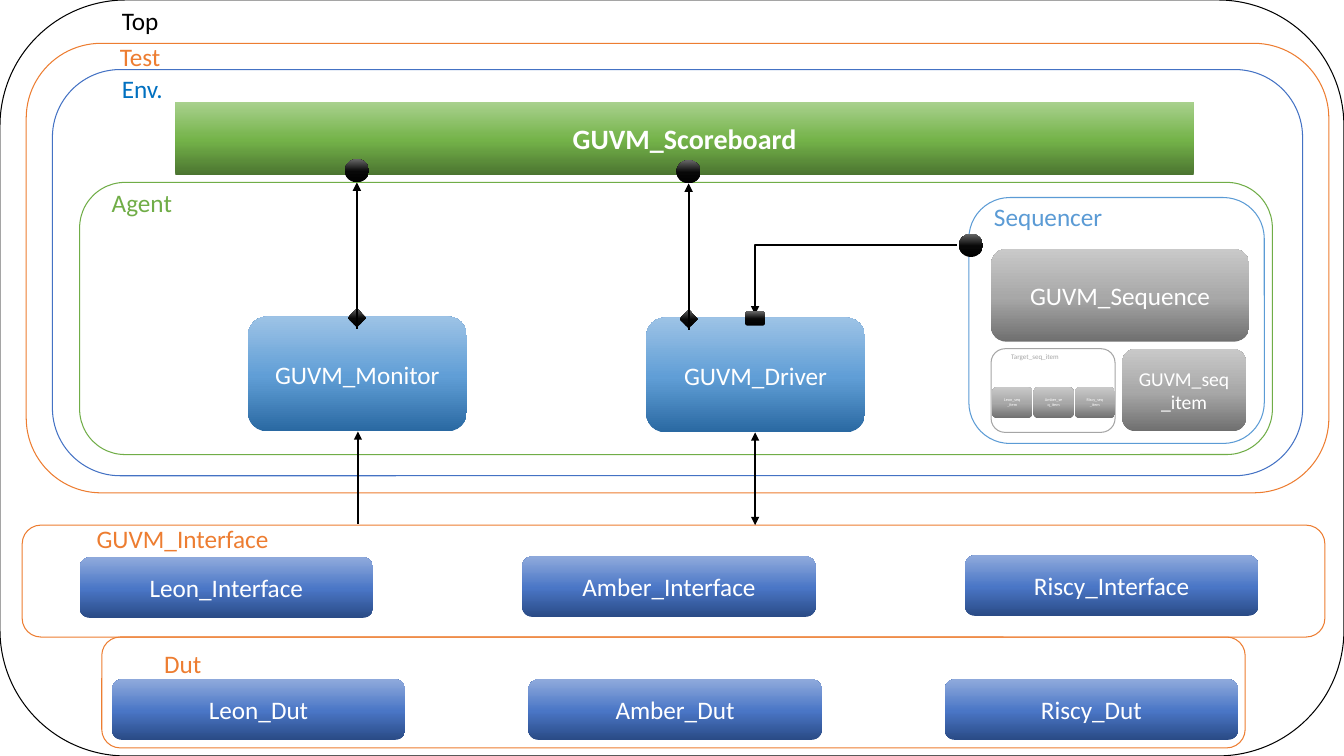
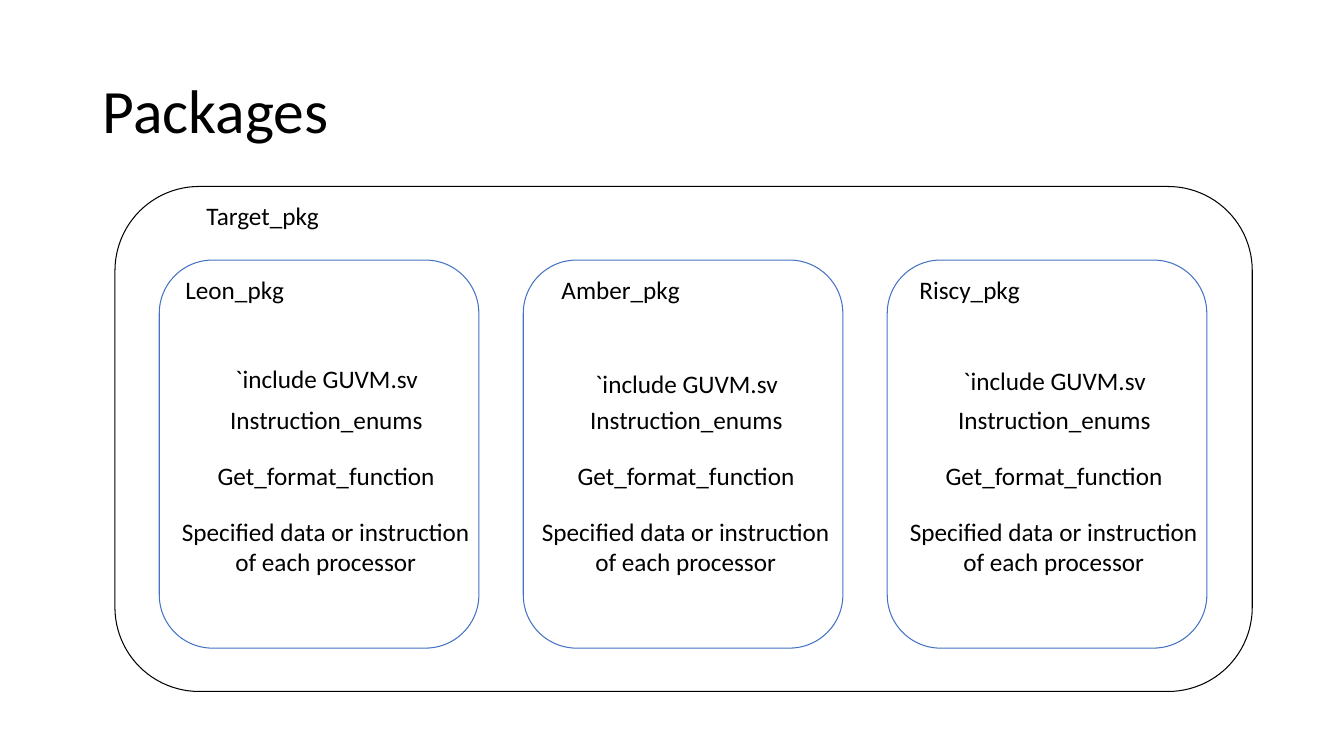
from copy import deepcopy
from dataclasses import dataclass

from lxml import etree
from pptx import Presentation
from pptx.dml.color import RGBColor
from pptx.enum.shapes import MSO_CONNECTOR, MSO_SHAPE
from pptx.enum.text import MSO_ANCHOR, MSO_AUTO_SIZE, PP_ALIGN
from pptx.oxml.ns import qn
from pptx.util import Inches, Pt

ROUND, RECT = MSO_SHAPE.ROUNDED_RECTANGLE, MSO_SHAPE.RECTANGLE
DOT, DIAMOND = MSO_SHAPE.FLOWCHART_CONNECTOR, MSO_SHAPE.DIAMOND
STRAIGHT, ELBOW = MSO_CONNECTOR.STRAIGHT, MSO_CONNECTOR.ELBOW
LEFT, CENTER, MIDDLE = PP_ALIGN.LEFT, PP_ALIGN.CENTER, MSO_ANCHOR.MIDDLE
FIT, NO_FIT = MSO_AUTO_SIZE.SHAPE_TO_FIT_TEXT, MSO_AUTO_SIZE.NONE

FONT = "Calibri"
COLORS = {
    "black": "000000", "white": "FFFFFF", "orange": "ED7D31", "navy": "4472C4",
    "azure": "0070C0", "green": "70AD47", "sky": "5B9BD5", "gray": "A5A5A5",
}
# Bottom, middle and top colour of each gradient
GRADIENTS = {
    "sky": ("2A69A2", "609ED6", "9DC3E6"),
    "green": ("4B7430", "74B349", "A9D18E"),
    "gray": ("6F6F6F", "A8A8A8", "C9C9C9"),
    "navy": ("2A4B86", "4A76C6", "8FAADC"),
    "black": ("000000", "080808", "666666"),
}
STOPS = (0, 0.48, 1)
CORES = ("Leon", "Amber", "Riscy")


@dataclass(frozen=True)
class Panel:
    """An unfilled rounded frame."""
    x: float
    y: float
    w: float
    h: float
    color: str


@dataclass(frozen=True)
class Label:
    """A one-line or two-line text box."""
    text: str
    x: float
    y: float
    w: float
    color: str = "black"
    h: float = 0.4
    size: float = 18


@dataclass(frozen=True)
class Block:
    """A gradient shape, with or without text."""
    x: float
    y: float
    w: float
    h: float
    gradient: str
    text: str = ""
    size: float = 18
    bold: bool = False
    kind: MSO_SHAPE = ROUND


@dataclass(frozen=True)
class Arrow:
    """A connector that ends in an arrowhead."""
    x1: float
    y1: float
    x2: float
    y2: float
    both: bool = False
    kind: MSO_CONNECTOR = STRAIGHT


def apply(target, formats: dict) -> None:
    """Set each named attribute of the target."""
    for name, value in formats.items():
        setattr(target, name, value)


def rgb(color: str) -> RGBColor:
    """Return a palette colour."""
    return RGBColor.from_string(COLORS[color])


def write(tf, text: str, size: float, color: str, align, bold=False) -> None:
    """Fill a text frame; lines after the first are centred."""
    for i, line in enumerate(text.split("\n")):
        p = tf.add_paragraph() if i else tf.paragraphs[0]
        p.alignment = CENTER if i else align
        r = p.add_run()
        r.text = line
        apply(r.font, {"name": FONT, "size": Pt(size), "bold": bold})
        r.font.color.rgb = rgb(color)


def add_panel(slide, panel: Panel) -> None:
    """Draw a frame."""
    sp = slide.shapes.add_shape(
        ROUND, *map(Inches, (panel.x, panel.y, panel.w, panel.h)))
    sp.shadow.inherit = False
    sp.fill.background()
    sp.line.width = Pt(0.75)
    sp.line.color.rgb = rgb(panel.color)


def add_label(slide, label: Label) -> None:
    """Draw a label."""
    sp = slide.shapes.add_textbox(
        *map(Inches, (label.x, label.y, label.w, label.h)))
    apply(sp.text_frame, {"word_wrap": False, "auto_size": FIT})
    write(sp.text_frame, label.text, label.size, label.color, LEFT)


def fill_gradient(sp, name: str) -> None:
    """Give a shape a three-stop gradient that runs upwards."""
    sp.fill.gradient()
    sp.fill.gradient_angle = 90
    stop_list = sp._element.spPr.find(".//" + qn("a:gsLst"))
    stop_list.append(deepcopy(stop_list[-1]))
    for stop, position, value in zip(sp.fill.gradient_stops, STOPS, GRADIENTS[name]):
        stop.position = position
        stop.color.rgb = RGBColor.from_string(value)


def add_block(slide, block: Block) -> None:
    """Draw a gradient shape."""
    sp = slide.shapes.add_shape(
        block.kind, *map(Inches, (block.x, block.y, block.w, block.h)))
    sp.shadow.inherit = False
    sp.line.fill.background()
    fill_gradient(sp, block.gradient)
    if block.text:
        apply(sp.text_frame, {"word_wrap": True, "vertical_anchor": MIDDLE})
        write(sp.text_frame, block.text, block.size, "white", CENTER, block.bold)


def add_arrow(slide, arrow: Arrow) -> None:
    """Draw a connector with its arrowheads."""
    c = slide.shapes.add_connector(
        arrow.kind, *map(Inches, (arrow.x1, arrow.y1, arrow.x2, arrow.y2)))
    c.line.width = Pt(1.5)
    c.line.color.rgb = rgb("black")
    spPr = c._element.spPr
    if arrow.kind == ELBOW:
        spPr.find(qn("a:prstGeom")).set("prst", "bentConnector2")
    ln = spPr.find(qn("a:ln"))
    for end in ("a:headEnd", "a:tailEnd") if arrow.both else ("a:tailEnd",):
        etree.SubElement(ln, qn(end), type="triangle")
    etree.SubElement(spPr, qn("a:effectLst"))


DRAWERS = {Panel: add_panel, Label: add_label, Block: add_block, Arrow: add_arrow}


def draw(slide, items: list) -> None:
    """Draw items from back to front."""
    for item in items:
        DRAWERS[type(item)](slide, item)


def core_row(suffix: str, x: float, y: float, pitch: float, rise: float = 0) -> list:
    """Return one navy block per core."""
    return [Block(x + i * pitch, y - i * rise, 2.91, 0.6, "navy", f"{core}_{suffix}")
            for i, core in enumerate(CORES)]


def build_testbench(prs) -> None:
    """Build the testbench diagram."""
    slide = prs.slides.add_slide(prs.slide_layouts[6])
    draw(slide, [
        Panel(0.26, 0.43, 12.92, 4.46, "orange"),
        Panel(0, 0, 13.33, 7.5, "black"),
        Panel(0.52, 0.69, 12.4, 4.03, "navy"),
        Panel(0.22, 5.21, 12.92, 1.11, "orange"),
        Panel(0.79, 1.81, 11.83, 2.7, "green"),
        Panel(9.61, 1.96, 2.93, 2.44, "sky"),
        Panel(9.83, 3.46, 1.23, 0.83, "gray"),
        Panel(1.01, 6.32, 11.34, 1.1, "orange"),
        Label("Top", 1.11, 0, 0.57),
        Label("Test", 1.09, 0.36, 0.61, "orange"),
        Label("Env.", 1.11, 0.68, 0.61, "azure"),
        Label("Agent", 1.01, 1.81, 0.81, "green"),
        Label("GUVM_Interface", 0.86, 5.14, 1.92, "orange"),
        Label("Sequencer", 9.76, 1.95, 1.29, "sky"),
        Label("Target_seq_item", 9.93, 3.45, 0.68, "gray", 0.27, 5),
        Label("Dut", 1.53, 6.38, 0.58, "orange"),
        Block(1.74, 1.01, 10.1, 0.73, "green", "GUVM_Scoreboard", 20, True, RECT),
        Block(2.46, 3.14, 2.17, 1.14, "sky", "GUVM_Monitor"),
        Block(6.41, 3.15, 2.17, 1.14, "sky", "GUVM_Driver"),
        Block(9.83, 2.47, 2.56, 0.92, "gray", "GUVM_Sequence"),
        Block(11.13, 3.46, 1.23, 0.82, "gray", "GUVM_seq_item", 14),
        *(Block(9.84 + i * 0.41, 3.84, 0.4, 0.31, "gray", f"{core}_seq_item", 3)
          for i, core in enumerate(CORES)),
        *core_row("Interface", 0.79, 5.53, 4.39, 0.01),
        *core_row("Dut", 1.11, 6.74, 4.13),
        Block(9.51, 2.32, 0.24, 0.23, "black", kind=DOT),
        Arrow(9.49, 2.43, 7.49, 3.12, kind=ELBOW),
        Block(7.39, 3.09, 0.2, 0.14, "black"),
        Arrow(7.49, 4.29, 7.49, 5.21, both=True),
        Arrow(3.55, 5.2, 3.55, 4.28),
    ])
    for x, y in ((3.54, 1.81), (6.83, 1.82)):
        draw(slide, [
            Block(x - 0.09, y + 1.25, 0.18, 0.19, "black", kind=DIAMOND),
            Block(x - 0.12, y - 0.23, 0.24, 0.23, "black", kind=DOT),
            Arrow(x, y + 1.45, x, y),
        ])


def package_column(i: int, name_x: float, name_w: float,
                   center: float, include_y: float) -> list:
    """Return the frame and centred text of one core's package."""
    lines = (
        ("`include GUVM.sv", include_y, 2.03, 0.4),
        ("Instruction_enums", 3.96, 2.13, 0.4),
        ("Get_format_function", 4.52, 2.38, 0.4),
        ("Specified data or instruction\nof each processor", 5.07, 3.09, 0.71),
    )
    return [
        Panel(1.58 + i * 3.61, 2.58, 3.17, 3.85, "navy"),
        Label(f"{CORES[i]}_pkg", name_x, 2.67, name_w),
        *(Label(text, center - w / 2, y, w, h=h) for text, y, w, h in lines),
    ]


def build_packages(prs) -> None:
    """Build the packages slide."""
    slide = prs.slides.add_slide(prs.slide_layouts[5])
    title = slide.shapes.title
    apply(title, {"left": Inches(0.92), "top": Inches(0.4),
                  "width": Inches(11.5), "height": Inches(1.45)})
    apply(title.text_frame, {"vertical_anchor": MIDDLE, "word_wrap": True,
                             "auto_size": NO_FIT})
    write(title.text_frame, "Packages", 44, "black", LEFT)
    title.text_frame.paragraphs[0].line_spacing = 0.9
    draw(slide, [
        Panel(1.14, 1.85, 11.28, 5.01, "black"),
        Label("Target_pkg", 1.95, 1.94, 1.33),
        *package_column(0, 1.74, 1.19, 3.25, 3.56),
        *package_column(1, 5.47, 1.39, 6.82, 3.6),
        *package_column(2, 9.02, 1.21, 10.47, 3.58),
    ])


def main() -> None:
    """Build and save the presentation."""
    prs = Presentation()
    apply(prs, {"slide_width": Inches(13.33), "slide_height": Inches(7.5)})
    build_testbench(prs)
    build_packages(prs)
    prs.save("out.pptx")


main()
